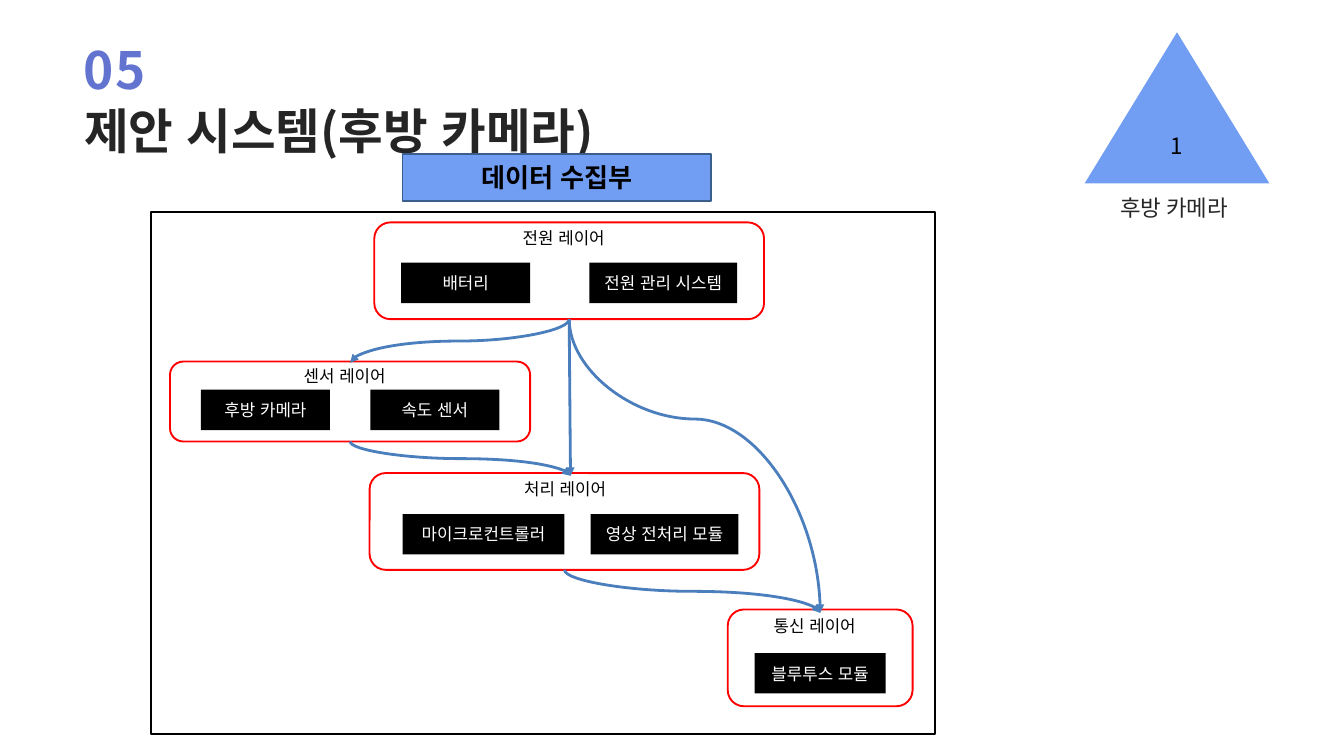
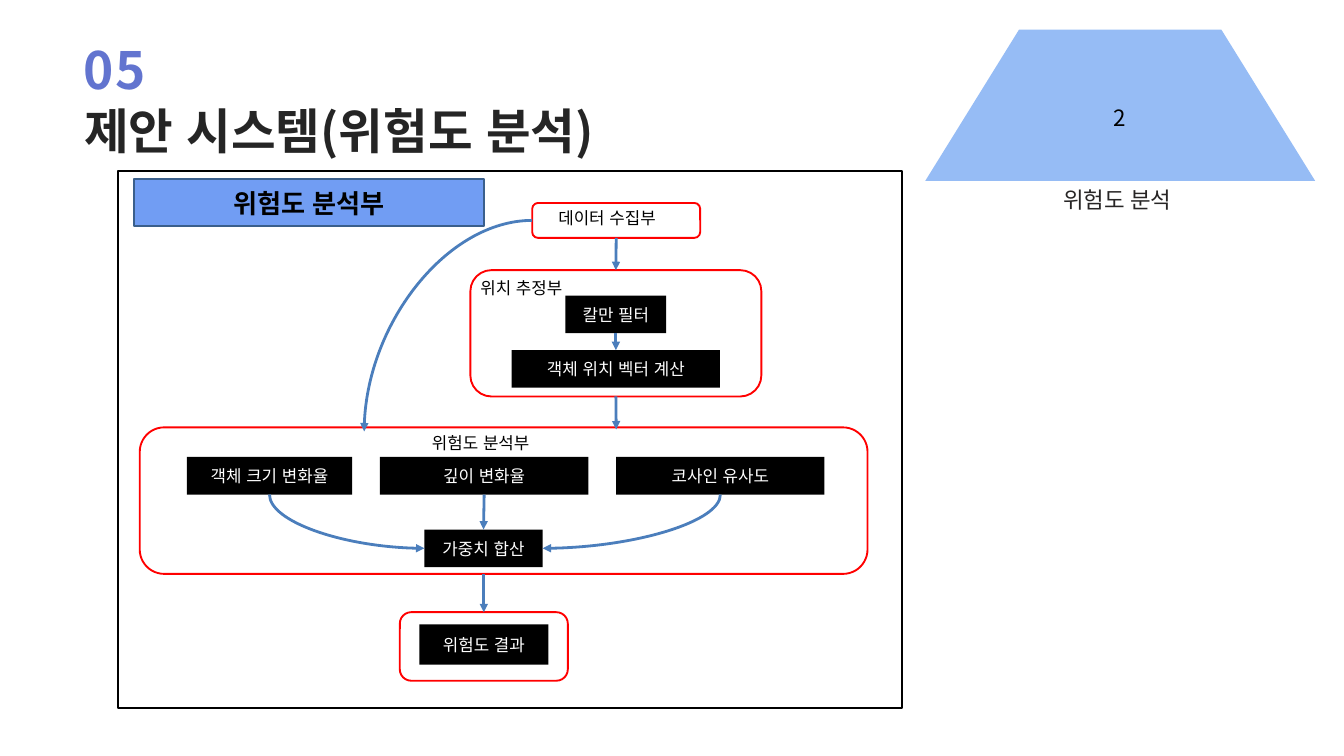
from dataclasses import dataclass, field
from lxml.etree import SubElement as Sub
from pptx import Presentation
from pptx.dml.color import RGBColor as Rgb
from pptx.enum.lang import MSO_LANGUAGE_ID as Lang
from pptx.enum.shapes import MSO_CONNECTOR as Link, MSO_SHAPE as Form
from pptx.enum.text import MSO_ANCHOR as Anchor, MSO_AUTO_SIZE as Fit, PP_ALIGN as Align
from pptx.oxml.ns import qn
from pptx.util import Inches, Pt

FONT = "Noto Sans CJK KR"
HUES = {"white": "FFFFFF", "black": "000000", "red": "FF0000", "sky": "719DF3",
        "pale": "96BCF5", "navy": "3A5F8C", "arrow": "4B7EBC",
        "number": "6274CF", "title": "252525", "note": "272525"}
TOP, LEFT, BOTTOM, RIGHT = range(4)
SIDES = {TOP: (0.5, 0), LEFT: (0, 0.5), BOTTOM: (0.5, 1), RIGHT: (1, 0.5)}


@dataclass
class Row:
    drop: float
    high: float
    boxes: list
    pad: float = 0.4
    shift: float = 0


@dataclass
class Label:
    text: str
    wide: float = 1.58
    drop: float = 0.03
    shift: float = 0


@dataclass
class Group:
    spot: tuple
    label: Label = None
    rows: list = field(default_factory=list)


SLIDES = [
    {
        "title": "제안 시스템(후방 카메라)",
        "badge": ("1", Form.ISOSCELES_TRIANGLE, "sky", (16.14, 0.48, 2.75, 2.25), 0.5),
        "note": ("후방 카메라", (16.67, 2.91, 1.69, 0.38)),
        "frame": (2.25, 3.15, 11.67, 7.77),
        "banner": ("데이터 수집부", (5.99, 2.29, 4.59, 0.7)),
        "groups": {
            "power": Group((5.57, 3.31, 5.8, 1.44), Label("전원 레이어"), [
                Row(0.6, 0.6, [("배터리", 1.92), ("전원 관리 시스템", 2.2)])]),
            "sensor": Group((2.53, 5.38, 5.36, 1.19), Label("센서 레이어", drop=0.02), [
                Row(0.42, 0.6, [("후방 카메라", 1.92), ("속도 센서", 1.92)], pad=0.46)]),
            "process": Group((5.5, 7.04, 5.8, 1.44), Label("처리 레이어", drop=0.04, shift=0.09), [
                Row(0.61, 0.6, [("마이크로컨트롤러", 2.41), ("영상 전처리 모듈", 2.2)], shift=0.09)]),
            "comms": Group((10.83, 9.07, 2.75, 1.44), Label("통신 레이어", drop=0.05), [
                Row(0.65, 0.6, [("블루투스 모듈", 1.95)])]),
        },
        "lines": [(("power", BOTTOM), ("process label", TOP))],
        "curves": [
            (("power", BOTTOM), ("sensor label", TOP), 0.5),
            (("power", BOTTOM), ("comms label", TOP), 0.34),
            (("sensor", BOTTOM), ("process label", TOP), 0.5),
            (("process", BOTTOM), ("comms label", TOP), 0.5),
        ],
    },
    {
        "title": "제안 시스템(위험도 분석)",
        "badge": ("2", Form.TRAPEZOID, "pale", (13.77, 0.44, 5.8, 2.25), 0.62),
        "note": ("위험도 분석", (15.83, 2.79, 1.69, 0.42)),
        "frame": (1.75, 2.54, 11.67, 8),
        "banner": ("위험도 분석부", (2, 2.67, 5.2, 0.7)),
        "groups": {
            "collect": Group((7.92, 3.02, 2.5, 0.52), Label("데이터 수집부", 1.92, 0.02)),
            "locate": Group((7, 4.02, 4.33, 1.88), Label("위치 추정부", 1.83, 0.06, -1.2), [
                Row(0.38, 0.56, [("칼만 필터", 1.5)]),
                Row(1.19, 0.56, [("객체 위치 벡터 계산", 3.1)])]),
            "risk": Group((2.08, 6.36, 10.83, 2.18), Label("위험도 분석부", 1.83, shift=-0.25), [
                Row(0.44, 0.56, [("객체 크기 변화율", 2.46), ("깊이 변화율", 3.1),
                                 ("코사인 유사도", 3.1)], pad=0.67, shift=0.03),
                Row(1.52, 0.56, [("가중치 합산", 1.76)], shift=-0.3)]),
            "result": Group((5.95, 9.11, 2.5, 1.02), rows=[
                Row(0.18, 0.6, [("위험도 결과", 1.92)])]),
        },
        "lines": [
            (("collect", BOTTOM), ("locate", TOP)),
            (("칼만 필터", BOTTOM), ("객체 위치 벡터 계산", TOP)),
            (("locate", BOTTOM), (9.17, 6.39)),
            (("깊이 변화율", BOTTOM), ("가중치 합산", TOP)),
            ((7.2, 8.54), ("result", TOP)),
        ],
        "curves": [
            (("객체 크기 변화율", BOTTOM), ("가중치 합산", LEFT), None),
            (("코사인 유사도", BOTTOM), ("가중치 합산", RIGHT), None),
            (("collect", LEFT), (5.42, 6.42), None),
        ],
    },
]

TEXTS = {
    "number": {"hue": "number", "lead": 110, "track": 1.3, "size": 55, "bold": True},
    "title": {"hue": "title", "lead": 104, "size": 52, "bold": True},
    "note": {"hue": "note", "lead": 27.5, "track": -0.4, "size": 24},
    "label": {"hue": "black", "size": 18},
    "box": {"hue": "white", "size": 18},
    "badge": {"hue": "black", "size": 24},
    "banner": {"hue": "black", "size": 28, "bold": True},
}
BARE = {"margin_left": 0, "margin_right": 0, "margin_top": 0, "margin_bottom": 0}
GROW = {"word_wrap": True, "auto_size": Fit.SHAPE_TO_FIT_TEXT, "vertical_anchor": Anchor.TOP}
MIDDLE = {"word_wrap": True, "vertical_anchor": Anchor.MIDDLE}
FRAMES = {"number": {**BARE, **GROW}, "title": {**BARE, **GROW},
          "note": {**BARE, "word_wrap": False}, "label": GROW}
FORMS = {
    "group": (Form.ROUNDED_RECTANGLE, "white", "red"),
    "box": (Form.RECTANGLE, "black", None),
    "frame": (Form.RECTANGLE, None, "black"),
    "banner": (Form.RECTANGLE, "sky", "navy"),
}


def rgb(hue):
    return Rgb.from_string(HUES[hue])


def apply(obj, vals):
    for key, val in vals.items():
        setattr(obj, key, val)


def write(shape, text, kind, align):
    look = TEXTS[kind]
    apply(shape.text_frame, FRAMES.get(kind, MIDDLE))
    para = shape.text_frame.paragraphs[0]
    para.alignment = align
    if "lead" in look:
        para.line_spacing = Pt(look["lead"])
    run = para.add_run()
    run.text = text
    apply(run.font, {"name": FONT, "size": Pt(look["size"]), "bold": look.get("bold", False),
                     "language_id": Lang.KOREAN})
    run.font.color.rgb = rgb(look["hue"])
    props = run._r.get_or_add_rPr()
    Sub(props, qn("a:ea")).set("typeface", FONT)
    if "track" in look:
        props.set("spc", str(round(look["track"] * 100)))


def add_text(slide, text, kind, spot):
    shape = slide.shapes.add_textbox(*map(Inches, spot))
    write(shape, text, kind, Align.LEFT)
    return shape


def add_form(slide, form, fill, edge, spot):
    shape = slide.shapes.add_shape(form, *map(Inches, spot))
    shape.shadow.inherit = False
    if fill:
        shape.fill.solid()
        shape.fill.fore_color.rgb = rgb(fill)
    else:
        shape.fill.background()
    if edge:
        shape.line.color.rgb = rgb(edge)
        shape.line.width = Pt(2)
    else:
        shape.line.fill.background()
    return shape


def add_part(slide, kind, spot, text=None):
    shape = add_form(slide, *FORMS[kind], spot)
    if text:
        write(shape, text, kind, Align.CENTER)
    return shape


def add_row(slide, group, row):
    left, top, wide, _ = group.spot
    used = sum(size for _, size in row.boxes)
    if len(row.boxes) > 1:
        gap = (wide - 2 * row.pad - used) / (len(row.boxes) - 1)
        x = left + row.pad + row.shift
    else:
        gap = 0
        x = left + (wide - used) / 2 + row.shift
    parts = {}
    for text, size in row.boxes:
        parts[text] = add_part(slide, "box", (x, top + row.drop, size, row.high), text)
        x += size + gap
    return parts


def add_groups(slide, groups):
    parts = {}
    for name, group in groups.items():
        parts[name] = add_part(slide, "group", group.spot)
        for row in group.rows:
            parts.update(add_row(slide, group, row))
        label = group.label
        if label:
            left, top, wide, _ = group.spot
            x = left + (wide - label.wide) / 2 + label.shift
            spot = (x, top + label.drop, label.wide, 0.4)
            parts[f"{name} label"] = add_text(slide, label.text, "label", spot)
    return parts


def find(parts, end):
    name, side = end
    if name not in parts:
        return Inches(name), Inches(side)
    part = parts[name]
    across, down = SIDES[side]
    return part.left + round(part.width * across), part.top + round(part.height * down)


def add_arrow(slide, form, start, stop):
    arrow = slide.shapes.add_connector(form, *start, *stop)
    arrow.line.color.rgb = rgb("arrow")
    arrow.line.width = Pt(3)
    props = arrow.element.spPr
    Sub(props.find(qn("a:ln")), qn("a:tailEnd")).set("type", "triangle")
    Sub(props, qn("a:effectLst"))
    return arrow


def add_line(slide, parts, start, stop):
    arrow = add_arrow(slide, Link.STRAIGHT, find(parts, start), find(parts, stop))
    for (name, side), join in ((start, arrow.begin_connect), (stop, arrow.end_connect)):
        if name in parts:
            join(parts[name], side)


def turn(arrow, start, stop):
    (x1, y1), (x2, y2) = start, stop
    wide, high = abs(x2 - x1), y2 - y1
    apply(arrow, {"left": (x1 + x2 - high) // 2, "top": (y1 + y2 - wide) // 2,
                  "width": high, "height": wide})
    right = x2 > x1
    frame = arrow.element.spPr.find(qn("a:xfrm"))
    frame.set("rot", str((270 if right else 90) * 60000))
    frame.set("flipH", "1" if right else "0")


def add_curve(slide, parts, start, stop, bend):
    ends = find(parts, start), find(parts, stop)
    arrow = add_arrow(slide, Link.CURVE, *ends)
    geom = arrow.element.spPr.find(qn("a:prstGeom"))
    if bend:
        guide = Sub(geom.find(qn("a:avLst")), qn("a:gd"))
        guide.set("name", "adj1")
        guide.set("fmla", f"val {round(bend * 100000)}")
    else:
        geom.set("prst", "curvedConnector2")
    if start[1] == BOTTOM:
        turn(arrow, *ends)


def add_head(slide, data):
    title = slide.shapes.title
    spot = map(Inches, (1.25, 0.93, 8.16, 1.3))
    apply(title, dict(zip(("left", "top", "width", "height"), spot)))
    write(title, data["title"], "title", Align.LEFT)
    add_text(slide, "05", "number", (1.25, -0.04, 1.53, 1.37))
    text, form, fill, spot, adj = data["badge"]
    badge = add_form(slide, form, fill, None, spot)
    badge.adjustments[0] = adj
    write(badge, text, "badge", Align.CENTER)
    text, spot = data["note"]
    add_text(slide, text, "note", spot)


def main():
    deck = Presentation()
    apply(deck, {"slide_width": Inches(20), "slide_height": Inches(11.25)})
    for data in SLIDES:
        slide = deck.slides.add_slide(deck.slide_layouts[5])
        add_head(slide, data)
        add_part(slide, "frame", data["frame"])
        parts = add_groups(slide, data["groups"])
        for line in data["lines"]:
            add_line(slide, parts, *line)
        for curve in data["curves"]:
            add_curve(slide, parts, *curve)
        text, spot = data["banner"]
        add_part(slide, "banner", spot, text)
    deck.save("out.pptx")


if __name__ == "__main__":
    main()
